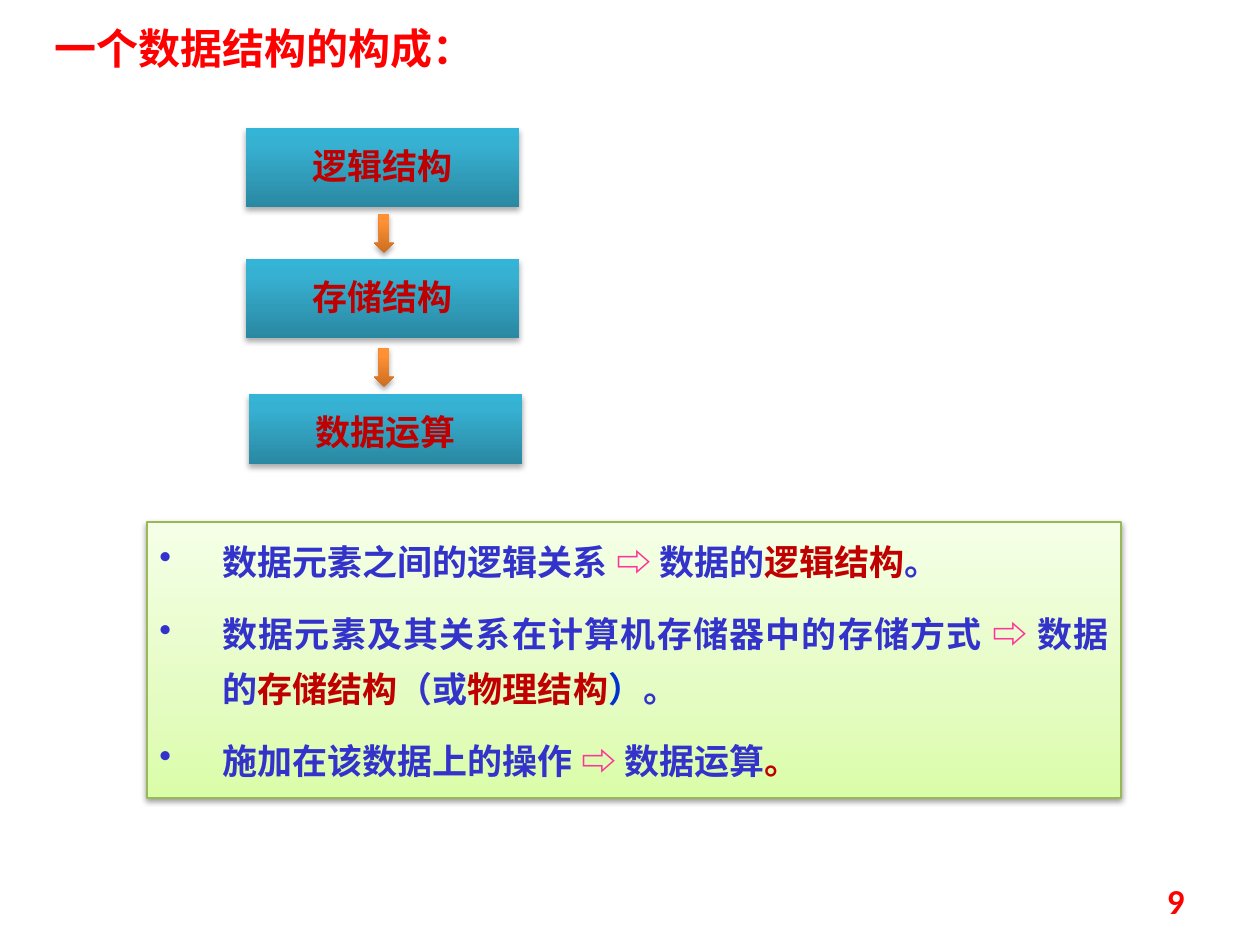
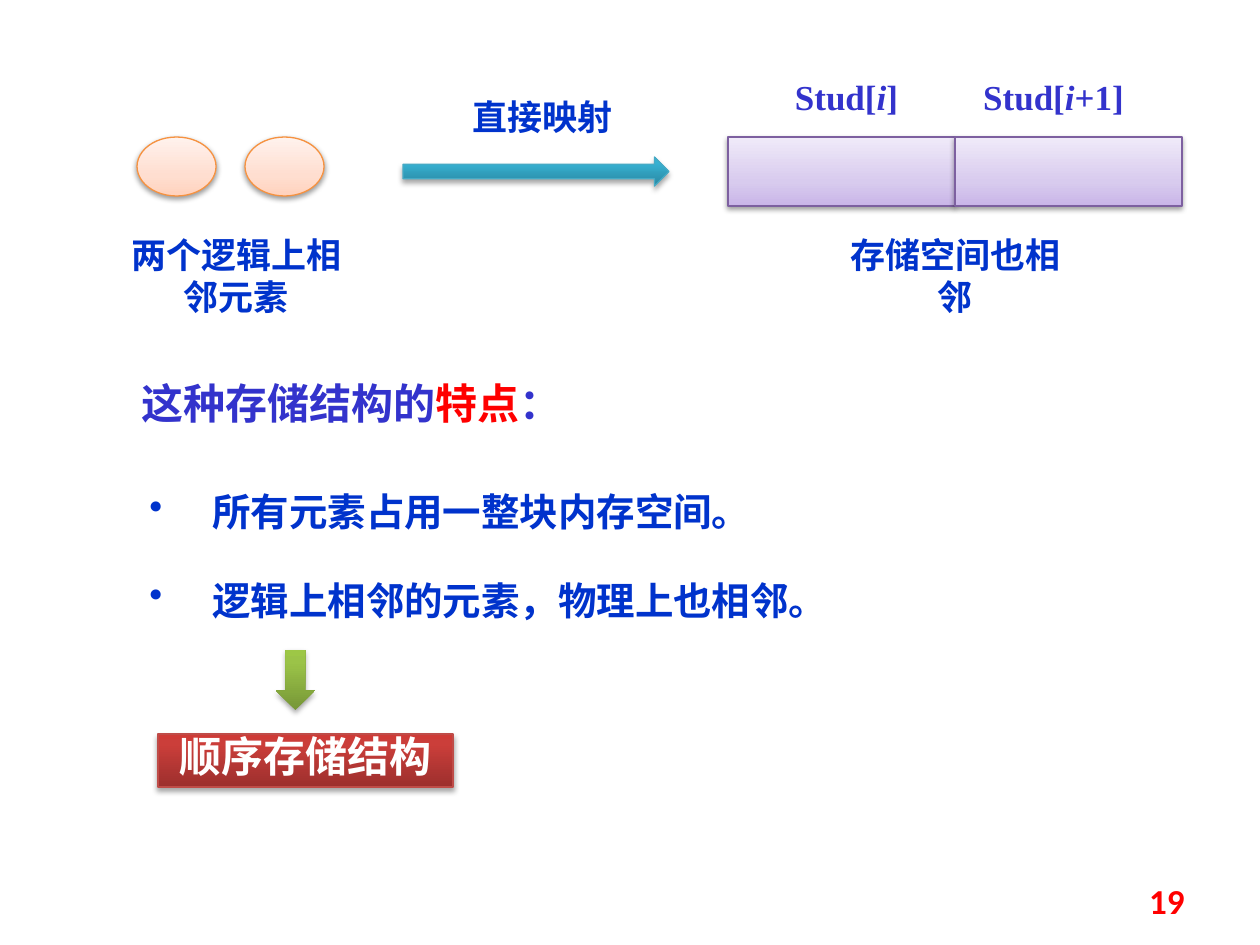
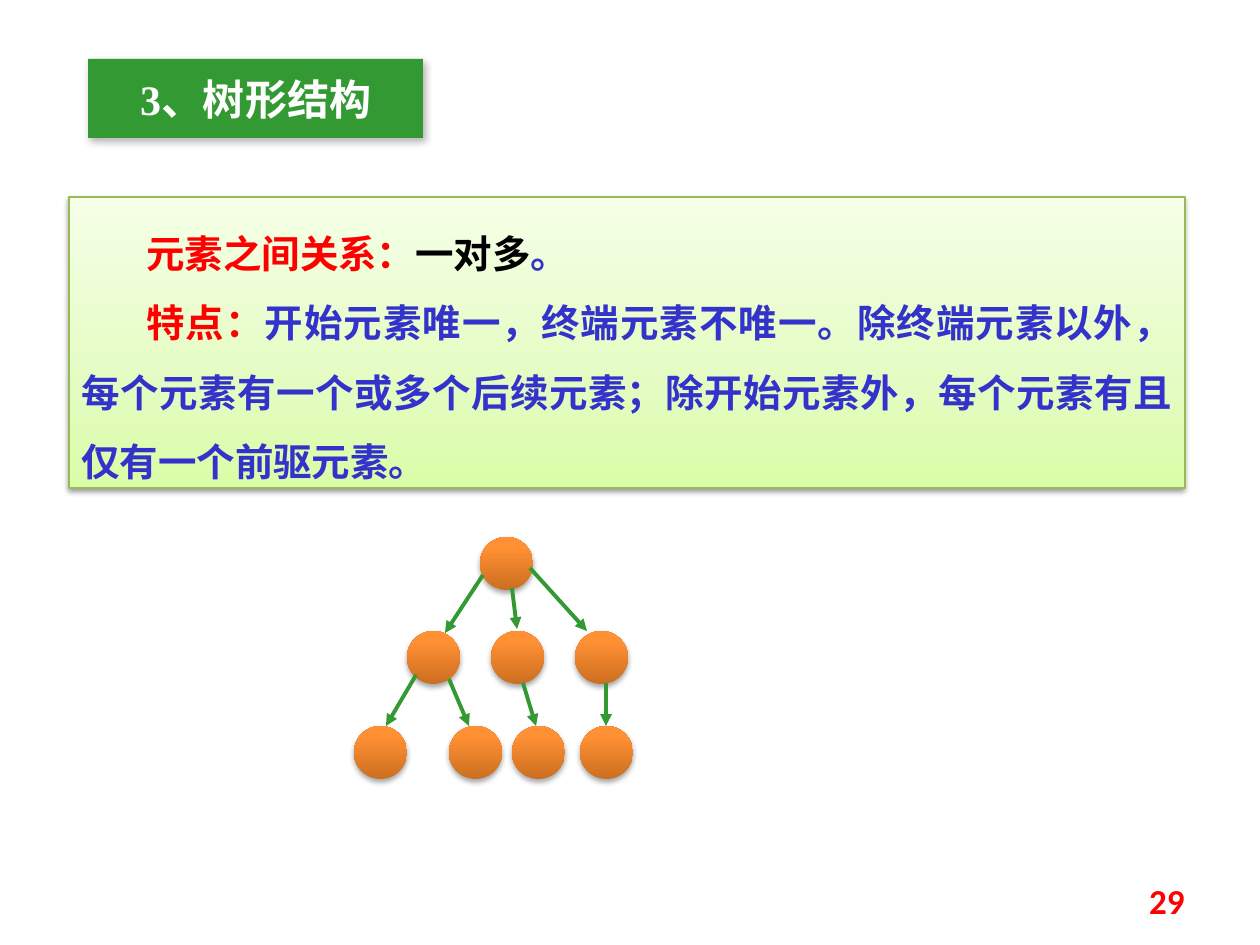
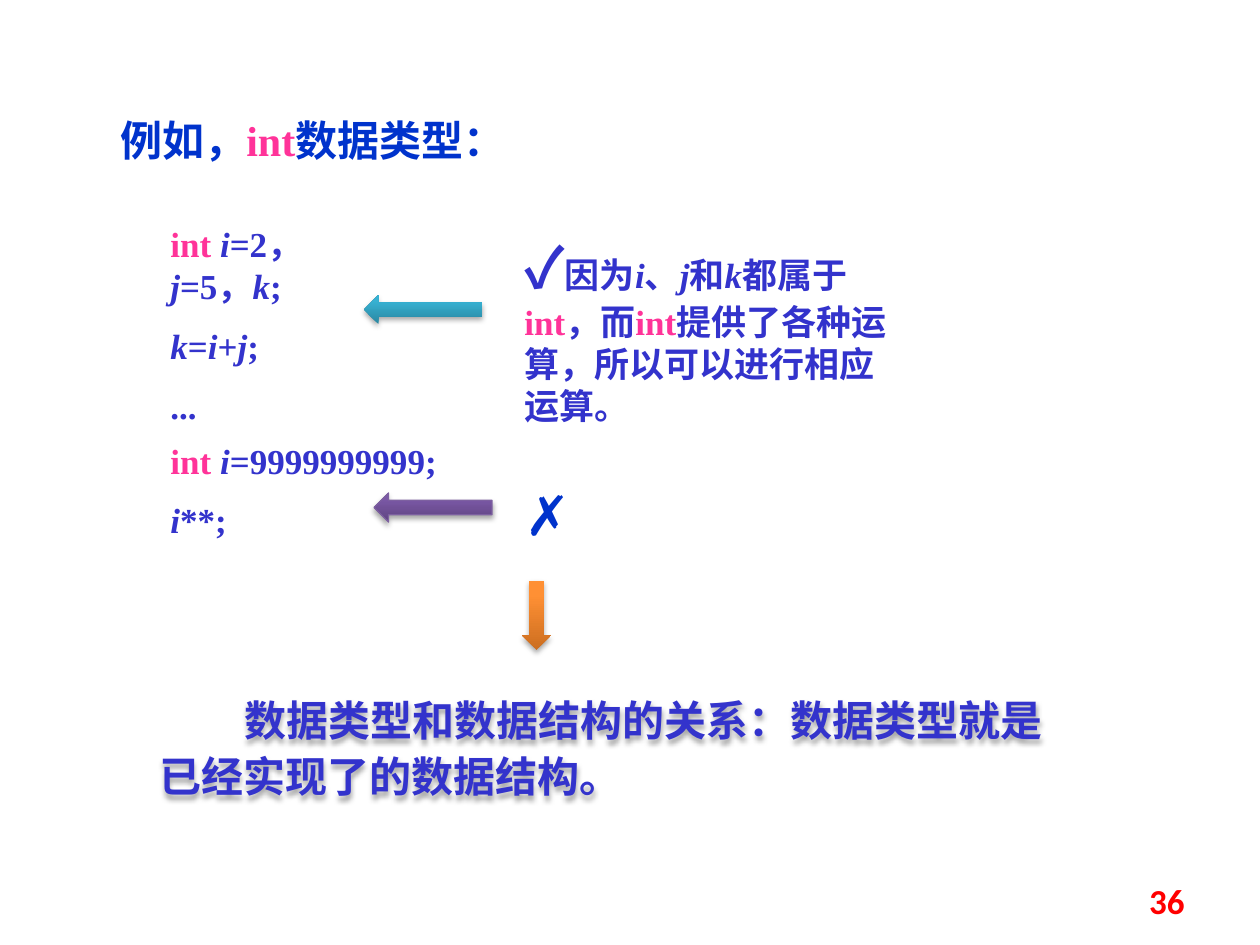
"""Build four slides on data structures: makeup, storage, trees and data types."""
from lxml import etree
from pptx import Presentation
from pptx.dml.color import RGBColor
from pptx.enum.shapes import MSO_CONNECTOR, MSO_SHAPE
from pptx.enum.text import MSO_ANCHOR, MSO_AUTO_SIZE, PP_ALIGN
from pptx.oxml.ns import qn
from pptx.util import Pt

SCALE = 914400 / 126
RECT, OVAL = MSO_SHAPE.RECTANGLE, MSO_SHAPE.OVAL
DOWN, LEFT_ARROW, RIGHT_ARROW = MSO_SHAPE.DOWN_ARROW, MSO_SHAPE.LEFT_ARROW, MSO_SHAPE.RIGHT_ARROW
STRAIGHT = MSO_CONNECTOR.STRAIGHT
LEFT, CENTER, RIGHT, JUSTIFY = PP_ALIGN.LEFT, PP_ALIGN.CENTER, PP_ALIGN.RIGHT, PP_ALIGN.JUSTIFY
TOP, MIDDLE = MSO_ANCHOR.TOP, MSO_ANCHOR.MIDDLE
GROW, FIXED = MSO_AUTO_SIZE.SHAPE_TO_FIT_TEXT, MSO_AUTO_SIZE.NONE

SERIF, SANS, CJK = "Times New Roman", "Calibri", "Noto Sans CJK SC"
COLORS = {
    "red": "FF0000", "crimson": "C00000", "indigo": "3333CC", "blue": "0033CC",
    "pink": "FF3399", "black": "000000", "white": "FFFFFF", "green": "339933",
    "mint line": "98B955", "violet line": "7D60A0", "peach line": "F69240",
    "cyan line": "46AAC5", "red line": "BF4C48",
}
GRADIENTS = {
    "cyan": ("2A88A2", "37B1D2", "34B4D6"),
    "orange": ("CC6E20", "FF9034", "FF9136"),
    "lime": ("779737", "9BC348", "9DC746"),
    "brick": ("9C2F2D", "CB3E3A", "CE3B37"),
    "purple": ("5F4480", "7B58A6", "7C57A8"),
    "mint": ("DAFDA7", "E4FCC2", "F5FFE7"),
    "violet": ("C9B5E8", "D8CBEE", "F0EAF9"),
    "peach": ("FFD2BD", "FFDED0", "FFF2ED"),
}
PALE = ("mint", "violet", "peach")
STRONG_SHADOW, PALE_SHADOW = (35, 3.1, 1.8, 90), (38, 3.1, 1.6, 90)
STEP_SHADOW, BANNER_SHADOW = (32, 3.5, 2.2, 90), (30, 4.5, 2.6, 53)
MARK_COLORS = {"⇨ ": "pink", "int": "pink", "一对多": "black", "）": "blue"}
VARIABLES = ("i", "j", "k")


def emu(*lengths):
    """Turn px lengths into EMU."""
    return [round(length * SCALE) for length in lengths]


def inside(box, x, y, width, height):
    """Return a box placed relative to the corner of another."""
    return box[0] + x, box[1] + y, width, height


def rgb(name):
    """Look up a named colour."""
    return RGBColor.from_string(COLORS[name])


def add(parent, tag, **attributes):
    """Append a drawing element to a parent."""
    return etree.SubElement(parent, qn(tag), {key: str(value) for key, value in attributes.items()})


def cast_shadow(shape, opacity, blur, distance, angle):
    """Give a shape a soft black shadow."""
    shape.shadow.inherit = False
    effects = shape._element.spPr.find(qn("a:effectLst"))
    outer = add(effects, "a:outerShdw", blurRad=Pt(blur), dist=Pt(distance),
                dir=angle * 60000, rotWithShape=0)
    add(add(outer, "a:srgbClr", val=COLORS["black"]), "a:alpha", val=opacity * 1000)


def fill_gradient(shape, name):
    """Fill a shape with a three-stop gradient rising from the bottom."""
    shape.fill.gradient()
    shape.fill.gradient_angle = 90
    stops = shape._element.spPr.find(".//" + qn("a:gsLst"))
    stops.clear()
    middle = 35 if name in PALE else 80
    for position, color in zip((0, middle, 100), GRADIENTS[name]):
        add(add(stops, "a:gs", pos=position * 1000), "a:srgbClr", val=color)


def draw(slide, kind, box, finish, line=None, shadow=None):
    """Draw a preset shape with a gradient or solid finish."""
    shape = slide.shapes.add_shape(kind, *emu(*box))
    if finish in GRADIENTS:
        fill_gradient(shape, finish)
    else:
        shape.fill.solid()
        shape.fill.fore_color.rgb = rgb(finish)
    if line:
        shape.line.color.rgb = rgb(line)
        shape.line.width = Pt(0.75)
    else:
        shape.line.fill.background()
    cast_shadow(shape, *(shadow or (PALE_SHADOW if finish in PALE else STRONG_SHADOW)))
    return shape


def add_runs(paragraph, marked, size, color, accent, font):
    """Split text at bars and style every second part as a mark."""
    for index, part in enumerate(marked.split("|")):
        if not part:
            continue
        run = paragraph.add_run()
        run.text = part
        is_mark = index % 2 == 1
        plain = not is_mark or part in VARIABLES or part == "✓"
        run.font.size = Pt(32 if part == "✓" else size)
        run.font.bold = True
        run.font.italic = is_mark and part in VARIABLES
        run.font.color.rgb = rgb(color if plain else MARK_COLORS.get(part, accent))
        run.font.name = font
        add(run._r.rPr, "a:ea", typeface=CJK)


def write(shape, lines, size, color, accent="crimson", font=SERIF, align=LEFT, spacing=1.0,
          half_line_before=True, first_indent=0, bullet=False, top=6, bottom=6,
          anchor=TOP, fit=GROW):
    """Write marked paragraphs into a shape."""
    frame = shape.text_frame
    frame.word_wrap = True
    frame.auto_size = fit
    frame.vertical_anchor = anchor
    frame.margin_top, frame.margin_bottom = emu(top, bottom)
    for index, marked in enumerate(lines):
        paragraph = frame.add_paragraph() if index else frame.paragraphs[0]
        paragraph.alignment = align
        paragraph.line_spacing = spacing
        properties = paragraph._p.get_or_add_pPr()
        if half_line_before:
            paragraph.space_before = Pt(0)
            before = properties.find(qn("a:spcBef"))
            before.clear()
            add(before, "a:spcPct", val=50000)
        margin, indent = (63, -63) if bullet else (0, first_indent)
        properties.set("marL", str(emu(margin)[0]))
        properties.set("indent", str(emu(indent)[0]))
        if bullet:
            add(properties, "a:buChar", char="•")
        add_runs(paragraph, marked, size, color, accent, font)


def label(slide, box, lines, size, color, **style):
    """Add a text box with marked paragraphs."""
    caption = slide.shapes.add_textbox(*emu(*box))
    write(caption, lines, size, color, **style)
    return caption


def page_number(slide, number):
    """Put the page number in the bottom right corner."""
    label(slide, (903, 876, 294, 50), [str(number)], 20, "red", font=SANS, align=RIGHT,
          half_line_before=False, anchor=MIDDLE, fit=FIXED)


def structure_flow(slide, box):
    """Stack the three structure steps with arrows between them."""
    steps = (("逻辑结构", 0, 0, 79), ("存储结构", 0, 131, 79), ("数据运算", 3, 266, 70))
    for name, x, y, height in steps:
        step = draw(slide, RECT, inside(box, x, y, 273, height), "cyan", shadow=STEP_SHADOW)
        write(step, [name], 20, "crimson", font=CJK, align=CENTER, spacing=0.8,
              half_line_before=False, top=25, fit=FIXED)
    for y in (86, 220):
        draw(slide, DOWN, inside(box, 128, y, 20, 39), "orange")


def makeup_slide(slide):
    """Show what a data structure consists of."""
    label(slide, (39, 26, 452, 53), ["一个数据结构的构成："], 24, "red", font=CJK,
          align=CENTER, spacing=0.8)
    structure_flow(slide, (246, 128, 276, 336))
    summary = draw(slide, RECT, (147, 522, 974, 276), "mint", "mint line")
    write(summary, [
        "数据元素之间的逻辑关系 |⇨ |数据的|逻辑结构|。",
        "数据元素及其关系在计算机存储器中的存储方式 |⇨ |数据的|存储结构|（或|物理结构||）|。",
        "施加在该数据上的操作 |⇨ |数据运算|。",
    ], 20, "indigo", font=CJK, align=JUSTIFY, spacing=1.3, bullet=True)


def direct_mapping(slide, box):
    """Map two neighbouring elements onto two memory cells."""
    for index, name in enumerate(("Stud[|i|]", "Stud[|i|+1]")):
        draw(slide, RECT, inside(box, 610 + 227 * index, 59, 227, 69), "violet", "violet line")
        label(slide, inside(box, 630 + 207 * index, 0, 197, 47), [name], 20, "indigo",
              align=CENTER, spacing=0.8)
        draw(slide, OVAL, inside(box, 19 + 108 * index, 59, 79, 59), "peach", "peach line")
    label(slide, inside(box, 326, 20, 197, 47), ["直接映射"], 20, "blue", align=CENTER, spacing=0.8)
    draw(slide, RIGHT_ARROW, inside(box, 285, 79, 266, 29), "cyan", "cyan line")
    for x, caption in ((0, "两个逻辑上相邻元素"), (719, "存储空间也相邻")):
        label(slide, inside(box, x, 149, 237, 97), [caption], 20, "blue", align=CENTER)


def storage_features(slide, box):
    """List the storage features and the name they lead to."""
    label(slide, inside(box, 0, 0, 546, 52), ["这种存储结构的|特点|："], 24, "indigo",
          accent="red", spacing=0.8, top=10, bottom=0)
    label(slide, inside(box, 8, 78, 767, 165),
          ["所有元素占用一整块内存空间。", "逻辑上相邻的元素，物理上也相邻。"], 22, "blue",
          spacing=1.5, bullet=True, top=10, bottom=0)
    draw(slide, DOWN, inside(box, 147, 273, 39, 60), "lime")
    result = draw(slide, RECT, inside(box, 29, 357, 295, 53), "brick", "red line")
    write(result, ["顺序存储结构"], 24, "white", font=CJK, align=CENTER, spacing=0.8)


def storage_slide(slide):
    """Explain sequential storage."""
    direct_mapping(slide, (118, 78, 1064, 246))
    storage_features(slide, (129, 377, 775, 411))


def tree(slide, box):
    """Draw a three-level tree with arrows from parent to child."""
    levels = ((126,), (53, 137, 221), (0, 95, 158, 226))
    edges = (
        (129, 38, 91, 96), (158, 51, 163, 92), (176, 31, 233, 94),
        (62, 138, 32, 189), (95, 142, 115, 189), (169, 146, 182, 189), (252, 146, 252, 189),
    )
    for depth, columns in enumerate(levels):
        for x in columns:
            draw(slide, OVAL, inside(box, x, round(94.5 * depth), 53, 53), "orange")
    left, top = box[:2]
    for x1, y1, x2, y2 in edges:
        edge = slide.shapes.add_connector(
            STRAIGHT, *emu(left + x1, top + y1, left + x2, top + y2))
        edge.line.color.rgb = rgb("green")
        edge.line.width = Pt(2.25)
        add(edge.line._get_or_add_ln(), "a:tailEnd", type="triangle")
        add(edge._element.spPr, "a:effectLst")


def tree_slide(slide):
    """Describe the tree structure."""
    description = draw(slide, RECT, (69, 197, 1116, 291), "mint", "mint line")
    write(description, [
        "|元素之间关系：||一对多|。",
        "|特点：|开始元素唯一，终端元素不唯一。除终端元素以外，每个元素有一个或多个后续元素；"
        "除开始元素外，每个元素有且仅有一个前驱元素。",
    ], 22, "indigo", accent="red", align=JUSTIFY, spacing=1.5, half_line_before=False,
        first_indent=65, top=10, bottom=0)
    tree(slide, (354, 537, 279, 242))
    banner = draw(slide, RECT, (88, 59, 335, 79), "green", shadow=BANNER_SHADOW)
    write(banner, ["3、树形结构"], 24, "white", align=CENTER, top=15)


def code_notes(slide, box):
    """Set valid and invalid int code beside the verdicts."""
    label(slide, inside(box, 0, 0, 227, 224),
          ["|int| |i|=2， |j|=5，|k|;", "|k|=|i|+|j|;", "..."], 20, "indigo")
    label(slide, inside(box, 354, 10, 394, 165),
          ["|✓|因为|i|、|j|和|k|都属于|int|，而|int|提供了各种运算，所以可以进行相应运算。"],
          20, "indigo")
    draw(slide, LEFT_ARROW, inside(box, 206, 78, 118, 29), "cyan")
    label(slide, inside(box, 0, 216, 344, 118),
          ["|int| |i|=9999999999;", "|i|**;"], 20, "indigo")
    label(slide, inside(box, 335, 266, 108, 67), ["✗"], 32, "blue", align=CENTER, spacing=0.8)
    draw(slide, LEFT_ARROW, inside(box, 216, 276, 118, 29), "purple", "violet line")


def data_type_slide(slide):
    """Relate data types to data structures."""
    label(slide, (108, 118, 403, 53), ["例如，|int|数据类型："], 24, "blue", spacing=0.8)
    code_notes(slide, (158, 217, 748, 334))
    draw(slide, DOWN, (522, 581, 29, 69), "orange")
    conclusion = label(
        slide, (147, 679, 945, 123),
        ["数据类型和数据结构的关系：数据类型就是已经实现了的数据结构。"], 24, "indigo",
        spacing=Pt(32), half_line_before=False, first_indent=85, top=10, bottom=0)
    cast_shadow(conclusion, *STRONG_SHADOW)


def main():
    """Build and save the deck."""
    deck = Presentation()
    deck.slide_width, deck.slide_height = emu(1260, 945)
    pages = ((makeup_slide, 9), (storage_slide, 19), (tree_slide, 29), (data_type_slide, 36))
    for build, number in pages:
        slide = deck.slides.add_slide(deck.slide_layouts[6])
        build(slide)
        page_number(slide, number)
    deck.save("out.pptx")


if __name__ == "__main__":
    main()
